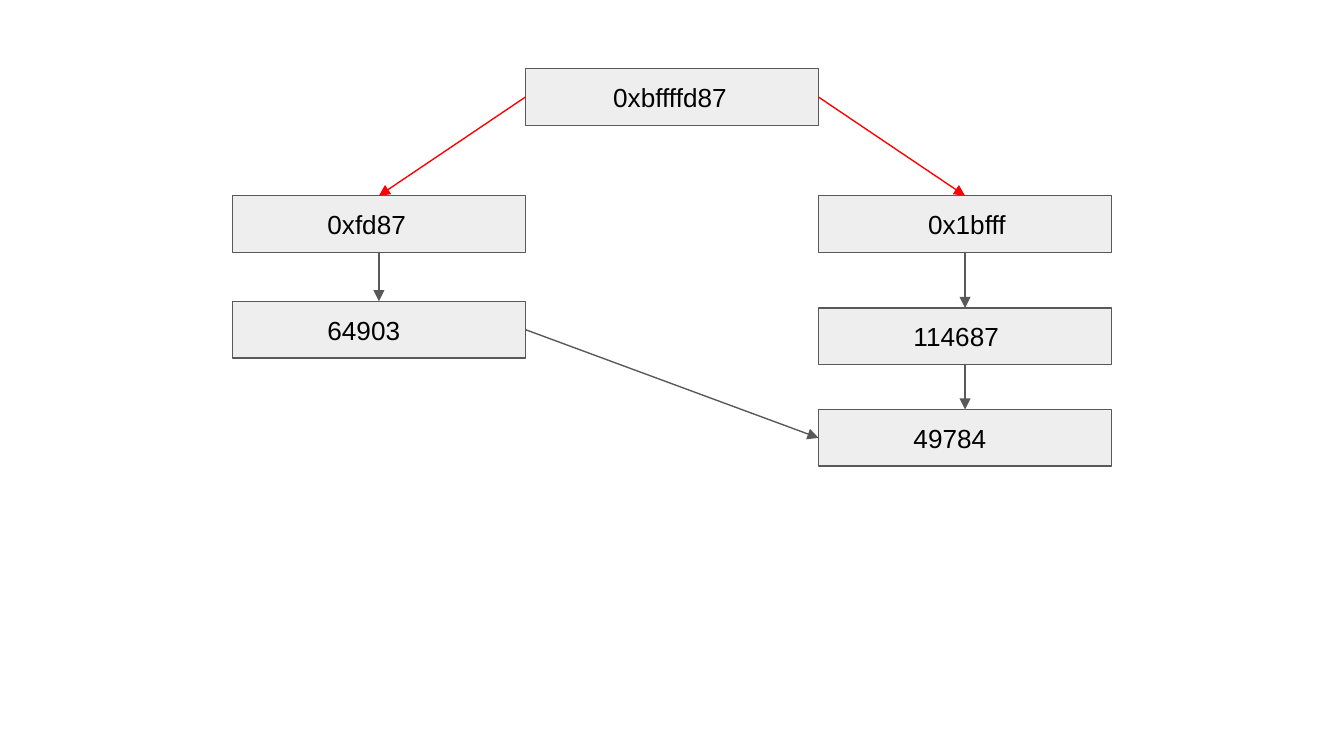
from pptx import Presentation
from pptx.dml.color import RGBColor
from pptx.enum.shapes import MSO_CONNECTOR, MSO_SHAPE
from pptx.enum.text import MSO_ANCHOR, PP_ALIGN
from pptx.oxml.ns import qn
from pptx.util import Pt
from lxml.etree import SubElement

TOP, LEFT, BOTTOM, RIGHT = range(4)


def color(value):
    """Turn a hex string into a colour."""
    return RGBColor.from_string(value)


def write(shape, text, font="Arial", size=14, ink="000000", indent=0):
    """Put one left-aligned, formatted line of text in a shape."""
    frame = shape.text_frame
    frame.word_wrap = True
    frame.vertical_anchor = MSO_ANCHOR.MIDDLE
    frame.margin_left = frame.margin_right = Pt(7.2)
    frame.margin_top = frame.margin_bottom = Pt(7.2)
    paragraph = frame.paragraphs[0]
    paragraph.alignment = PP_ALIGN.LEFT
    properties = paragraph._p.get_or_add_pPr()
    properties.set("marL", "0")
    properties.set("indent", str(Pt(indent)))
    run = paragraph.add_run()
    run.text = text
    run.font.name = font
    run.font.size = Pt(size)
    run.font.color.rgb = color(ink)


class Diagram:
    """Boxes and arrows in one style on one slide."""

    fill, gray, red = "EEEEEE", "595959", "FF0000"
    box_width, box_height, line_width = 157, 30.4, 0.75

    def __init__(self, slide):
        """Keep the slide to draw on."""
        self.slide = slide

    def box(self, text, left, top, indent):
        """Add a labelled rectangle."""
        shape = self.slide.shapes.add_shape(
            MSO_SHAPE.RECTANGLE, Pt(left), Pt(top), Pt(self.box_width), Pt(self.box_height))
        shape.shadow.inherit = False
        shape.fill.solid()
        shape.fill.fore_color.rgb = color(self.fill)
        shape.line.color.rgb = color(self.gray)
        shape.line.width = Pt(self.line_width)
        write(shape, text, indent=indent)
        return shape

    def arrow(self, start, start_side, end, end_side, ink=gray):
        """Join the sides of two boxes with an arrow."""
        connector = self.slide.shapes.add_connector(MSO_CONNECTOR.STRAIGHT, 0, 0, 0, 0)
        connector.begin_connect(start, start_side)
        connector.end_connect(end, end_side)
        connector.line.color.rgb = color(ink)
        connector.line.width = Pt(self.line_width)
        SubElement(connector.line._get_or_add_ln(), qn("a:tailEnd"), type="triangle")
        SubElement(connector._element.spPr, qn("a:effectLst"))


presentation = Presentation()
presentation.slide_width, presentation.slide_height = Pt(720), Pt(405)
diagram = Diagram(presentation.slides.add_slide(presentation.slide_layouts[6]))

left_column, middle_column, right_column = (
    124.5 + step * diagram.box_width for step in range(3))

address = diagram.box("0xbffffd87", middle_column, 36.8, 39.9)
low_half = diagram.box("0xfd87", left_column, 104.9, 43.8)
high_half = diagram.box("0x1bfff", right_column, 104.9, 51.6)
low_decimal = diagram.box("64903", left_column, 161.4, 43.8)
high_decimal = diagram.box("114687", right_column, 165, 43.8)
difference = diagram.box("49784", right_column, 219.4, 43.8)

diagram.arrow(address, LEFT, low_half, TOP, diagram.red)
diagram.arrow(address, RIGHT, high_half, TOP, diagram.red)
for upper, lower in ((low_half, low_decimal), (high_half, high_decimal),
                     (high_decimal, difference)):
    diagram.arrow(upper, BOTTOM, lower, TOP)
diagram.arrow(low_decimal, RIGHT, difference, LEFT)

presentation.save("out.pptx")
